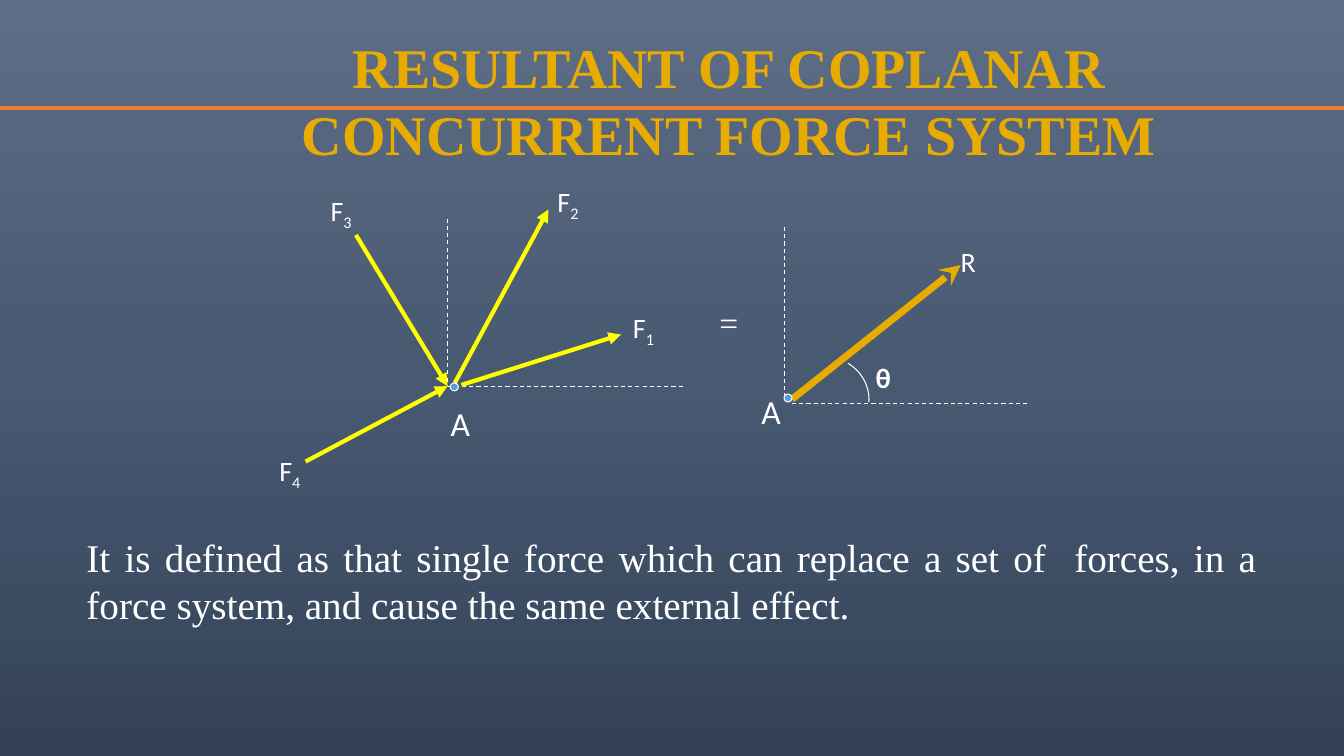
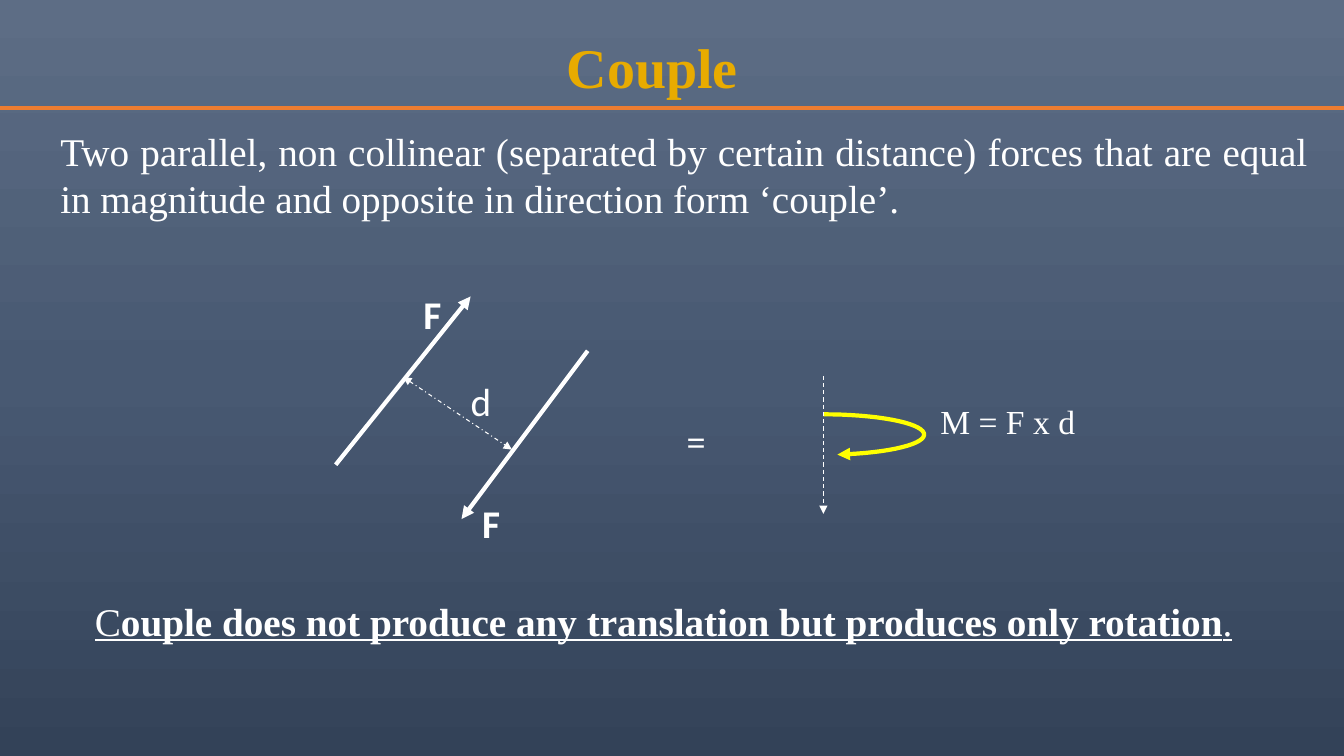
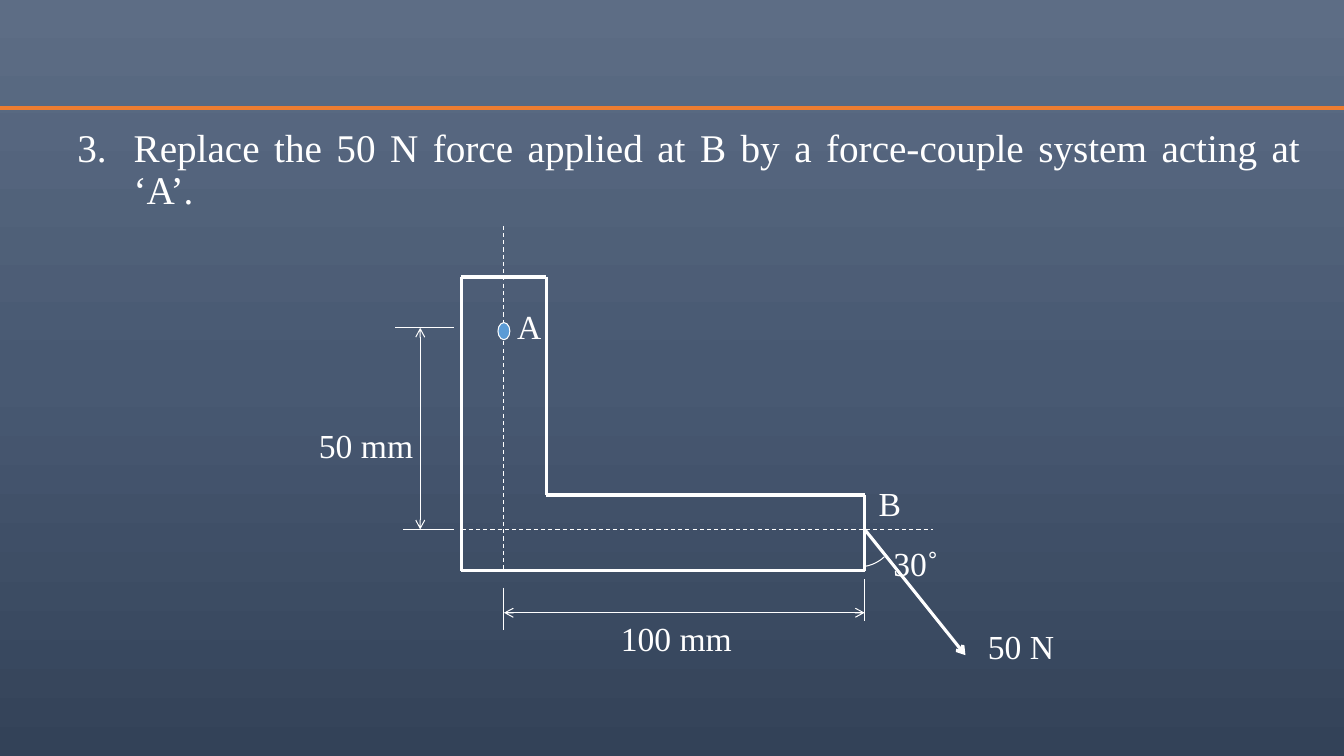
import copy
import dataclasses
import itertools
import math

import pptx
import pptx.dml.color
import pptx.enum.dml
import pptx.enum.shapes
import pptx.enum.text
import pptx.oxml.ns
import pptx.oxml.xmlchemy
import pptx.util

Cm, Pt = pptx.util.Cm, pptx.util.Pt
RGB = pptx.dml.color.RGBColor.from_string
ALIGN = pptx.enum.text.PP_ALIGN
DASH = pptx.enum.dml.MSO_LINE
PRESET = pptx.enum.shapes.MSO_SHAPE
qn = pptx.oxml.ns.qn


@dataclasses.dataclass(frozen=True)
class Theme:
    """Colours, fonts, type sizes and line widths of the deck."""
    sky: tuple = ((0, "5D6D85"), (0.5, "485972"), (1, "334258"))
    rule: str = "ED7D31"
    gold: str = "E8AB00"
    force: str = "FFFF00"
    ink: str = "FFFFFF"
    point: str = "5B9BD5"
    serif: str = "Times New Roman"
    sans: str = "Calibri"
    title: int = 40
    body: int = 28
    label: int = 24
    small: int = 20
    thin: float = 0.75
    medium: float = 2.25
    edge: float = 2.5
    thick: float = 3
    resultant: float = 5


THEME = Theme()


def append_element(parent, tag, **attributes):
    """Append a drawing element with the given attributes."""
    element = pptx.oxml.xmlchemy.OxmlElement(tag)
    for name, value in attributes.items():
        element.set(name, str(value))
    parent.append(element)


def add_background(master):
    """Give the master its vertical three-stop gradient."""
    fill = master.background.fill
    fill.gradient()
    fill.gradient_angle = 270
    stop_list = master.element.find(".//" + qn("a:gsLst"))
    stop_list.insert(1, copy.deepcopy(stop_list[0]))
    for stop, (position, color) in zip(fill.gradient_stops, THEME.sky):
        stop.position = position
        stop.color.rgb = RGB(color)


def style_line(line, color, width, dash=None, head=None, tail=None):
    """Set colour, width, dash and arrowheads of an outline."""
    line.color.rgb = RGB(color)
    line.width = Pt(width)
    if dash:
        line.dash_style = dash
    for end, arrow in (("a:headEnd", head), ("a:tailEnd", tail)):
        if arrow:
            append_element(line._get_or_add_ln(), end, type=arrow)


def add_line(slide, start, end, color=THEME.ink, width=THEME.thin, **ends):
    """Draw a straight line between two points in centimetres."""
    connector = slide.shapes.add_connector(
        pptx.enum.shapes.MSO_CONNECTOR.STRAIGHT, *map(Cm, start + end))
    style_line(connector.line, color, width, **ends)
    append_element(connector._element.spPr, "a:effectLst")


def add_axis(slide, start, end, **ends):
    """Draw a thin dashed reference line."""
    add_line(slide, start, end, dash=DASH.DASH, **ends)


def add_force(slide, start, end, color=THEME.force, width=THEME.thick, tail="triangle"):
    """Draw a force as an arrow from start to end."""
    add_line(slide, start, end, color, width, tail=tail)


def add_dimension(slide, start, end):
    """Draw a dimension line with an open arrow at both ends."""
    add_line(slide, start, end, head="arrow", tail="arrow")


def add_point(slide, left, top, width=0.2, height=0.2):
    """Mark a point of the body with a small ellipse."""
    dot = slide.shapes.add_shape(PRESET.OVAL, *map(Cm, (left, top, width, height)))
    dot.shadow.inherit = False
    dot.fill.solid()
    dot.fill.fore_color.rgb = RGB(THEME.point)
    style_line(dot.line, THEME.ink, THEME.thin)


def add_curve(slide, center, radii, first, last, color=THEME.ink, width=THEME.thin, tail=None):
    """Draw part of an ellipse, clockwise between two angles in degrees."""
    steps = 32
    angles = [math.radians(first + (last - first) * i / steps) for i in range(steps + 1)]
    track = [(Cm(center[0] + radii[0] * math.cos(a)), Cm(center[1] + radii[1] * math.sin(a)))
             for a in angles]
    builder = slide.shapes.build_freeform(*track[0], scale=1.0)
    builder.add_line_segments(track[1:], close=False)
    curve = builder.convert_to_shape()
    curve.shadow.inherit = False
    curve.fill.background()
    style_line(curve.line, color, width, tail=tail)


def add_angle_arc(slide, left, top, width, height, rotation):
    """Draw a rotated preset arc that marks an angle."""
    arc = slide.shapes.add_shape(PRESET.ARC, *map(Cm, (left, top, width, height)))
    arc.adjustments[0], arc.adjustments[1] = 189.42, 0
    arc.rotation = rotation
    arc.shadow.inherit = False
    arc.fill.background()
    style_line(arc.line, THEME.ink, THEME.thin)


def add_run(paragraph, text, size, font, color, bold=False, underline=False, subscript=False):
    """Append one formatted run."""
    run = paragraph.add_run()
    run.text = text
    run.font.size = Pt(size)
    run.font.name = font
    run.font.color.rgb = RGB(color)
    run.font.bold = bold
    run.font.underline = underline
    if subscript:
        run.font._element.set("baseline", "-25000")


def add_text(slide, left, top, width, runs, size=THEME.label, font=THEME.serif, color=THEME.ink,
             align=ALIGN.LEFT, lines=1, padded=False, wrap=True, **style):
    """Add a text box as tall as its lines; runs is a string or (text, style) pairs."""
    inset_x, inset_y = (Cm(0.25), Cm(0.13)) if padded else (0, 0)
    height = Pt(size * 1.2 * lines) + 2 * inset_y
    box = slide.shapes.add_textbox(Cm(left), Cm(top), Cm(width), height)
    frame = box.text_frame
    frame.word_wrap = wrap
    frame.auto_size = pptx.enum.text.MSO_AUTO_SIZE.SHAPE_TO_FIT_TEXT
    frame.margin_left = frame.margin_right = inset_x
    frame.margin_top = frame.margin_bottom = inset_y
    paragraph = frame.paragraphs[0]
    paragraph.alignment = align
    for text, extra in [(runs, {})] if isinstance(runs, str) else runs:
        add_run(paragraph, text, size, font, color, **{**style, **extra})
    return box


def add_title(slide, left, width, text, **layout):
    """Add the gold slide title."""
    add_text(slide, left, 0.81, width, text, THEME.title, color=THEME.gold,
             align=ALIGN.CENTER, bold=True, **layout)


def add_statement(slide, left, top, width, text):
    """Add a justified two-line body text."""
    return add_text(slide, left, top, width, text, THEME.body, align=ALIGN.JUSTIFY,
                    lines=2, padded=True)


def add_question(slide, number, text):
    """Add a body text with an automatic number and hanging indent."""
    box = add_statement(slide, 1.7, 3.1, 31.32, text)
    box.text_frame.auto_size = pptx.enum.text.MSO_AUTO_SIZE.NONE
    box.height = Cm(12.57)
    paragraph = box.text_frame.paragraphs[0]
    paragraph.line_spacing = 0.9
    properties = paragraph._p.get_or_add_pPr()
    properties.set("marL", str(Cm(1.42)))
    properties.set("indent", str(-Cm(1.42)))
    append_element(properties, "a:buAutoNum", type="arabicPeriod", startAt=number)


def add_symbol(slide, left, top, width, runs, size=THEME.small, **style):
    """Add a sans-serif letter to a diagram."""
    add_text(slide, left, top, width, runs, size, THEME.sans, **style)


def add_tag(slide, left, top, width, text):
    """Add a centred, padded label to a dimensioned drawing."""
    add_text(slide, left, top, width, text, align=ALIGN.CENTER, padded=True)


def new_slide(deck):
    """Add a blank slide with the orange rule."""
    slide = deck.slides.add_slide(deck.slide_layouts[6])
    add_line(slide, (0, 2.72), (33.87, 2.72), THEME.rule, THEME.medium)
    return slide


def build_resultant(deck):
    """Four concurrent forces and their resultant."""
    slide = new_slide(deck)
    joint = (11.28, 9.73)
    add_axis(slide, joint, (17.22, 9.73))
    add_axis(slide, (11.28, 5.51), joint)
    for start, end in (((7.7, 11.63), joint), ((8.97, 5.92), joint),
                       ((11.63, 9.7), (15.65, 8.43)), ((11.46, 9.65), (13.82, 5.28))):
        add_force(slide, start, end)
    for index, left, top in (("1", 15.95, 7.82), ("2", 14.05, 4.65),
                             ("3", 8.33, 4.88), ("4", 7.04, 11.43)):
        add_symbol(slide, left, top, 1.07, [("F", {}), (index, {"subscript": True})])
    add_point(slide, 11.35, 9.65)

    add_text(slide, 17.63, 7.62, 1.47, "=", align=ALIGN.CENTER)

    add_axis(slide, (19.96, 10.16), (25.88, 10.16))
    add_axis(slide, (19.76, 5.72), (19.76, 9.96))
    add_force(slide, (19.96, 10.06), (24.21, 6.68), THEME.gold, THEME.resultant, "stealth")
    add_curve(slide, (20.83, 10.08), (1.07, 1.07), -60, 3)
    add_point(slide, 19.76, 9.93)
    add_symbol(slide, 24.21, 6.15, 0.84, "R")
    add_symbol(slide, 22.07, 9.09, 0.84, "θ", bold=True)
    for left, top in ((11.07, 10.16), (18.9, 9.86)):
        add_symbol(slide, left, top, 1.07, "A", THEME.label, align=ALIGN.CENTER)

    add_statement(slide, 1.93, 13.31, 30,
                  "It is defined as that single force which can replace a set of  forces, "
                  "in a force system, and cause the same external effect.")
    add_title(slide, 4.65, 27.43, "RESULTANT OF COPLANAR CONCURRENT FORCE SYSTEM", lines=2)


def build_couple(deck):
    """Two opposite parallel forces and the moment they form."""
    slide = new_slide(deck)
    add_force(slide, (8.46, 11.71), (11.86, 7.47), THEME.ink)
    add_force(slide, (14.81, 8.84), (11.63, 13.08), THEME.ink)
    add_line(slide, (10.16, 9.5), (12.9, 11.33), dash=DASH.DASH_DOT,
             head="triangle", tail="triangle")
    add_symbol(slide, 11.86, 9.5, 0.43, "d", THEME.body, align=ALIGN.CENTER)
    for left, top in ((10.59, 7.32), (12.07, 12.57)):
        add_symbol(slide, left, top, 0.61, "F", THEME.body, align=ALIGN.CENTER,
                   wrap=False, bold=True)

    equals = add_text(slide, 16.08, 10.74, 1.7, "=", bold=True)
    equals.rotation = 180

    add_curve(slide, (20.75, 10.95), (2.54, 0.51), -90, 82, THEME.force, THEME.thick, "triangle")
    add_axis(slide, (20.75, 9.47), (20.75, 12.95), tail="triangle")
    add_text(slide, 23.7, 10.11, 4.01, "M = F x d")

    strong = {"bold": True}
    add_text(slide, 1.27, 15.04, 30.91,
             [("C", {}), ("ouple does not produce any", strong), (" ", {}),
              ("translation but produces only rotation", strong), (".", {})],
             THEME.body, align=ALIGN.CENTER, underline=True)
    add_statement(slide, 1.27, 3.07, 31.95,
                  "Two parallel, non collinear (separated by certain distance) forces that are "
                  "equal in magnitude and opposite in direction form ‘couple’.")
    add_title(slide, 14.27, 4.34, "Couple", wrap=False)


def build_bracket(deck):
    """Exercise with an L-shaped bracket loaded at B."""
    slide = new_slide(deck)
    add_question(slide, 3, "Replace the 50 N force applied at B by a force-couple system "
                           "acting at ‘A’.")
    left, inner, right = 11.63, 13.77, 21.79
    top, shelf, bottom = 6.98, 12.47, 14.38
    a_x, a_y, b_y = 12.7, 8.26, 13.34
    corners = [(left, top), (left, bottom), (right, bottom), (right, shelf),
               (inner, shelf), (inner, top), (left, top)]
    for start, end in itertools.pairwise(corners):
        add_line(slide, start, end, width=THEME.edge)
    add_axis(slide, (a_x, 5.69), (a_x, bottom))
    add_axis(slide, (left, b_y), (23.5, b_y))
    add_force(slide, (right, b_y), (24.33, 16.51), THEME.ink, THEME.medium, "arrow")
    add_point(slide, 12.55, 8.13, 0.3, 0.43)

    for start, end in (((9.96, a_y), (11.43, a_y)), ((10.16, b_y), (11.43, b_y)),
                       ((a_x, 14.81), (a_x, 15.88)), ((right, 14.6), (right, 15.65))):
        add_line(slide, start, end)
    add_dimension(slide, (10.59, a_y), (10.59, b_y))
    add_dimension(slide, (a_x, 15.44), (right, 15.44))
    add_angle_arc(slide, 20.93, 12.7, 1.47, 1.7, 82.1)

    for x, y, width, text in ((7.42, 10.57, 3.61, "50 mm"), (15.24, 15.44, 3.61, "100 mm"),
                              (24.56, 15.65, 2.34, "50 N"), (22.23, 13.54, 1.7, "30˚"),
                              (12.7, 7.59, 1.27, "A"), (21.79, 12.04, 1.27, "B")):
        add_tag(slide, x, y, width, text)


def main():
    """Build and save the deck."""
    deck = pptx.Presentation()
    deck.slide_width, deck.slide_height = Cm(33.87), Cm(19.05)
    add_background(deck.slide_master)
    build_resultant(deck)
    build_couple(deck)
    build_bracket(deck)
    deck.save("out.pptx")


main()
